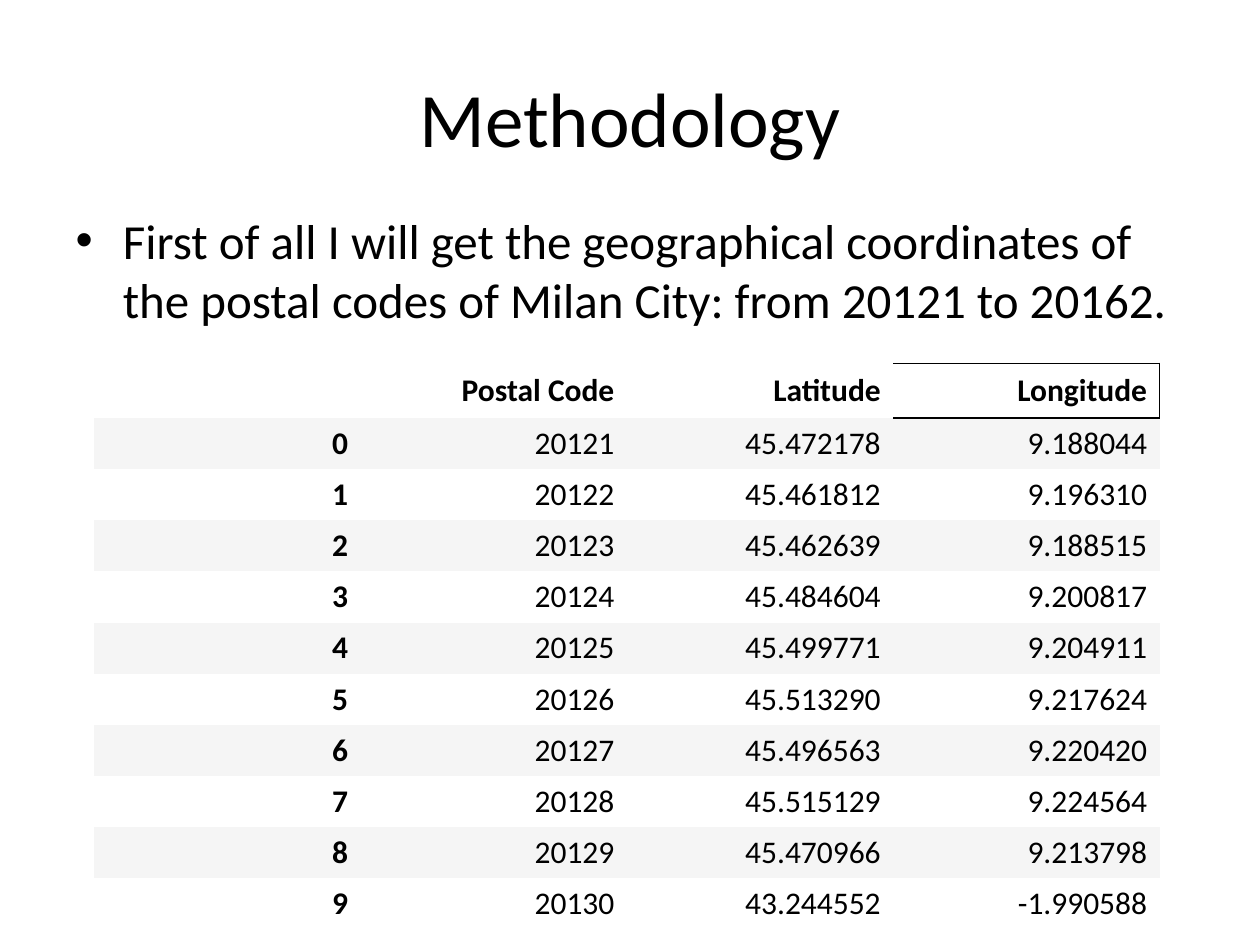
from dataclasses import dataclass

from lxml.etree import SubElement
from pptx import Presentation
from pptx.dml.color import RGBColor
from pptx.enum.text import MSO_ANCHOR, PP_ALIGN
from pptx.oxml.ns import qn
from pptx.slide import Slide
from pptx.table import _Cell
from pptx.util import Cm, Pt

BLACK = RGBColor(0x00, 0x00, 0x00)
WHITE = RGBColor(0xFF, 0xFF, 0xFF)
STRIPE = RGBColor(0xF5, 0xF5, 0xF5)
FONT_NAME = "Calibri"
PLAIN_TABLE_STYLE = "{2D5ABB26-0587-4C30-8999-92F81FD0307C}"
HEADINGS = ("", "Postal Code", "Latitude", "Longitude")
HEADING_BORDERS = {"lnR": Pt(0.75), "lnT": Pt(0.75), "lnB": Pt(1.5)}
FIRST_POSTAL_CODE = 20121
HEADER_HEIGHT = Cm(1.11)
ROW_HEIGHT = Cm(1.03)
COLUMN_WIDTH = Cm(5.37)


@dataclass(frozen=True)
class Location:
    latitude: str
    longitude: str


@dataclass(frozen=True)
class PlaceholderText:
    index: int
    text: str
    position: dict
    size: Pt


LOCATIONS = (
    Location("45.472178", "9.188044"),
    Location("45.461812", "9.196310"),
    Location("45.462639", "9.188515"),
    Location("45.484604", "9.200817"),
    Location("45.499771", "9.204911"),
    Location("45.513290", "9.217624"),
    Location("45.496563", "9.220420"),
    Location("45.515129", "9.224564"),
    Location("45.470966", "9.213798"),
    Location("43.244552", "-1.990588"),
)

PLACEHOLDERS = (
    PlaceholderText(
        0,
        "Methodology",
        {"left": Cm(1.27), "top": Cm(0.76), "width": Cm(22.86), "height": Cm(3.18)},
        Pt(44),
    ),
    PlaceholderText(
        1,
        "First of all I will get the geographical coordinates of "
        "the postal codes of Milan City: from 20121 to 20162.",
        {"left": Cm(1.27), "top": Cm(4.11), "width": Cm(22.86), "height": Cm(2.87)},
        Pt(28),
    ),
)


def apply_format(target: object, values: dict) -> None:
    for name, value in values.items():
        setattr(target, name, value)


def format_font(font: object, size: Pt, bold: bool = False) -> None:
    apply_format(font, {"name": FONT_NAME, "size": size, "bold": bold})
    font.color.rgb = BLACK


def fill_placeholder(slide: Slide, content: PlaceholderText) -> None:
    shape = slide.placeholders[content.index]
    apply_format(shape, content.position)
    shape.text_frame.text = content.text
    format_font(shape.text_frame.paragraphs[0].runs[0].font, content.size)


def add_borders(cell: _Cell, borders: dict) -> None:
    properties = cell._tc.get_or_add_tcPr()
    for tag, width in borders.items():
        line = SubElement(properties, qn(f"a:{tag}"), w=str(int(width)))
        fill = SubElement(line, qn("a:solidFill"))
        SubElement(fill, qn("a:srgbClr"), val=str(BLACK))


def write_cell(cell: _Cell, text: str, bold: bool) -> None:
    cell.text = text
    cell.vertical_anchor = MSO_ANCHOR.MIDDLE
    paragraph = cell.text_frame.paragraphs[0]
    paragraph.alignment = PP_ALIGN.RIGHT
    for run in paragraph.runs:
        format_font(run.font, Pt(18), bold)


def add_coordinate_table(slide: Slide) -> None:
    rows = [HEADINGS] + [
        (str(number), str(FIRST_POSTAL_CODE + number), place.latitude, place.longitude)
        for number, place in enumerate(LOCATIONS)
    ]
    frame = slide.shapes.add_table(
        len(rows),
        len(HEADINGS),
        Cm(1.9),
        Cm(7.32),
        COLUMN_WIDTH * len(HEADINGS),
        HEADER_HEIGHT + ROW_HEIGHT * len(LOCATIONS),
    )
    table = frame.table
    apply_format(table, {"first_row": False, "horz_banding": False})
    next(frame.element.iter(qn("a:tableStyleId"))).text = PLAIN_TABLE_STYLE
    for column in table.columns:
        column.width = COLUMN_WIDTH
    for row_index, values in enumerate(rows):
        table.rows[row_index].height = ROW_HEIGHT if row_index else HEADER_HEIGHT
        for column_index, text in enumerate(values):
            cell = table.cell(row_index, column_index)
            write_cell(cell, text, row_index == 0 or column_index == 0)
            if text == "Longitude":
                add_borders(cell, HEADING_BORDERS)
            else:
                cell.fill.solid()
                cell.fill.fore_color.rgb = STRIPE if row_index % 2 else WHITE


def main() -> None:
    presentation = Presentation()
    apply_format(presentation, {"slide_width": Cm(25.4), "slide_height": Cm(19.05)})
    slide = presentation.slides.add_slide(presentation.slide_layouts[1])
    for content in PLACEHOLDERS:
        fill_placeholder(slide, content)
    add_coordinate_table(slide)
    presentation.save("out.pptx")


if __name__ == "__main__":
    main()
